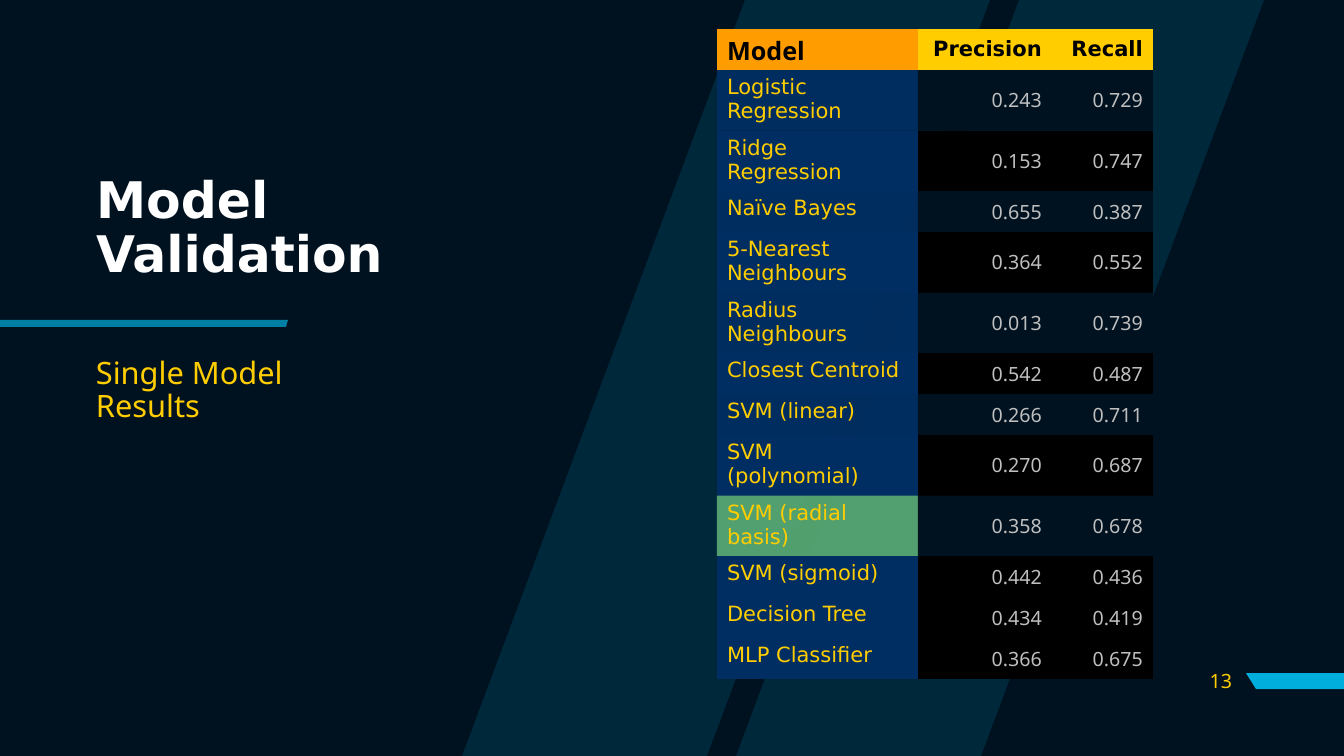
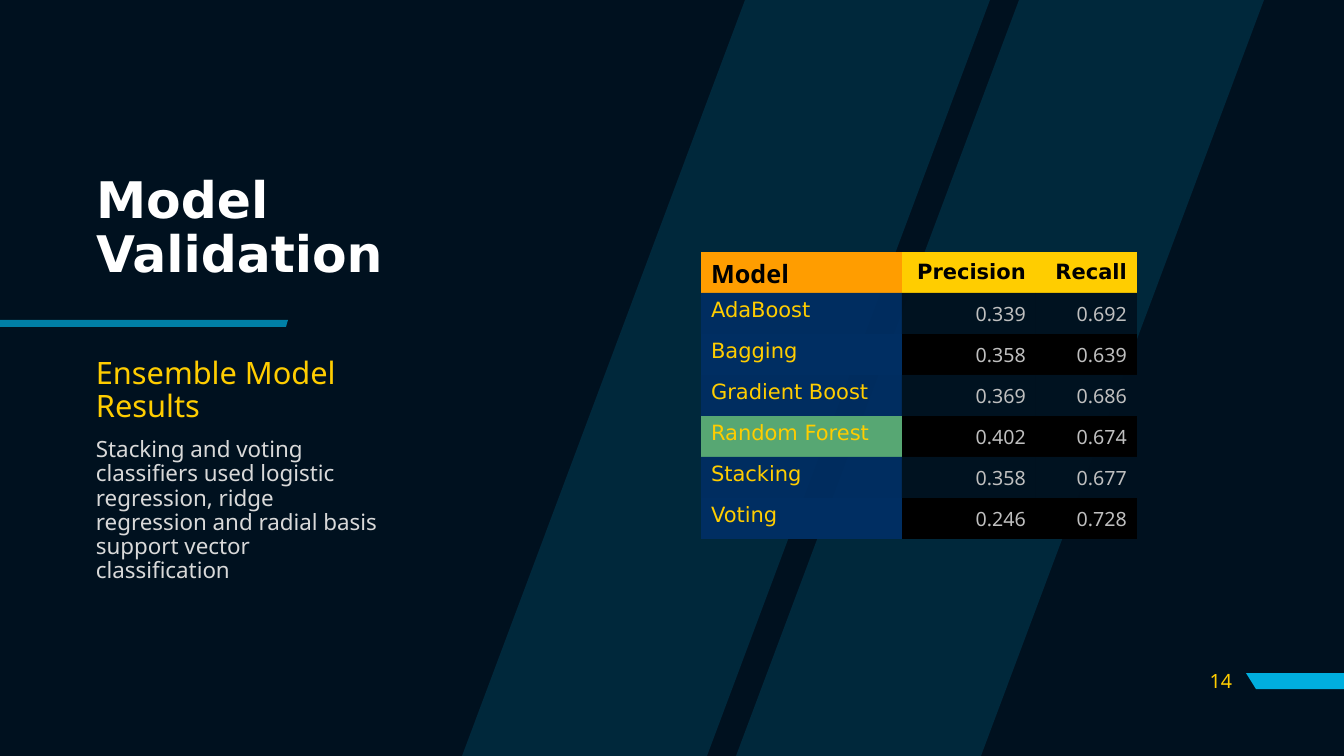
import pptx
import pptx.dml.color
import pptx.enum.text
import pptx.oxml
import pptx.oxml.ns
import pptx.util

WIDTH, HEIGHT = 1344, 756
PX = 12192000 / WIDTH
ANCHOR = pptx.enum.text.MSO_ANCHOR
ALIGN = pptx.enum.text.PP_ALIGN
NO_STYLE_NO_GRID = "{2D5ABB26-0587-4C30-8999-92F81FD0307C}"

NIGHT, NAVY, BLACK, CYAN = "00111F", "002E62", "000000", "00AEDE"
YELLOW, ORANGE, GREEN = "FFCD00", "FF9D00", "57A773"
HEADING, BODY = "DejaVu Sans", "Noto Sans"

# Text formats: font, size, bold, colour, then paragraph values
TITLE = dict(name=HEADING, size=36, bold=True, color="FFFFFF", line_spacing=0.9, alignment=ALIGN.LEFT)
SUBTITLE = dict(name=BODY, size=22, color=YELLOW, line_spacing=0.9, space_before=pptx.util.Pt(10))
NOTE = SUBTITLE | dict(size=16, color="D9D9D9")
PAGE = dict(name=BODY, size=14, color=YELLOW, alignment=ALIGN.RIGHT)
MODEL_HEAD = dict(name=BODY, size=18, bold=True, color=BLACK)
SCORE_HEAD = dict(name=HEADING, size=15, bold=True, color=BLACK, alignment=ALIGN.RIGHT)
MODEL = dict(name=HEADING, size=15, bold=False, color=YELLOW)
SCORE = dict(name=BODY, size=14, bold=False, color="BFBFBF", alignment=ALIGN.RIGHT)

COLUMNS = (201, 134, 101)
ROW_HEIGHT = 41
HEADER = ("Model", "Precision", "Recall")

# Closed outlines in px, with their opacity in percent
DECORATIONS = [
    ([[(1019, 0), (736, HEIGHT), (981, HEIGHT), (1264, 0)],
      [(462, HEIGHT), (707, HEIGHT), (990, 0), (745, 0)]], 15),
    ([[(WIDTH, 673), (WIDTH, 689), (1256, 689), (1246, 673)]], 100),
    ([[(0, 320), (0, 327), (286, 327), (288, 320)]], 70),
]

PAGES = [
    dict(
        number=13, table_at=(717, 29), best="SVM (radial basis)", unbanded=("Decision Tree",),
        text=[("Single Model Results", SUBTITLE)],
        scores=[
            ("Logistic Regression", 0.243, 0.729),
            ("Ridge Regression", 0.153, 0.747),
            ("Naïve Bayes", 0.655, 0.387),
            ("5-Nearest Neighbours", 0.364, 0.552),
            ("Radius Neighbours", 0.013, 0.739),
            ("Closest Centroid", 0.542, 0.487),
            ("SVM (linear)", 0.266, 0.711),
            ("SVM (polynomial)", 0.270, 0.687),
            ("SVM (radial basis)", 0.358, 0.678),
            ("SVM (sigmoid)", 0.442, 0.436),
            ("Decision Tree", 0.434, 0.419),
            ("MLP Classifier", 0.366, 0.675),
        ],
    ),
    dict(
        number=14, table_at=(701, 252), best="Random Forest", unbanded=(),
        text=[
            ("Ensemble Model Results", SUBTITLE),
            ("Stacking and voting classifiers used logistic regression, ridge regression "
             "and radial basis support vector classification", NOTE),
        ],
        scores=[
            ("AdaBoost", 0.339, 0.692),
            ("Bagging", 0.358, 0.639),
            ("Gradient Boost", 0.369, 0.686),
            ("Random Forest", 0.402, 0.674),
            ("Stacking", 0.358, 0.677),
            ("Voting", 0.246, 0.728),
        ],
    ),
]


def paint(fill, colour, opacity=100):
    fill.solid()
    fill.fore_color.rgb = pptx.dml.color.RGBColor.from_string(colour)
    if opacity < 100:
        for rgb in fill._xPr.iter(pptx.oxml.ns.qn("a:srgbClr")):
            alpha = pptx.oxml.parse_xml(f'<a:alpha {pptx.oxml.ns.nsdecls("a")} val="{opacity * 1000}"/>')
            rgb.append(alpha)


def write(frame, paragraphs, anchor=ANCHOR.TOP):
    """Fill a text frame with (text, format) pairs."""
    frame.word_wrap = True
    frame.vertical_anchor = anchor
    for index, (text, style) in enumerate(paragraphs):
        paragraph = frame.add_paragraph() if index else frame.paragraphs[0]
        run = paragraph.add_run()
        run.text = text
        for key, value in style.items():
            if key == "color":
                paint(run.font.fill, value)
            elif key == "size":
                run.font.size = pptx.util.Pt(value)
            else:
                setattr(run.font if key in ("name", "bold") else paragraph, key, value)


deck = pptx.Presentation()
deck.slide_width, deck.slide_height = round(WIDTH * PX), round(HEIGHT * PX)
paint(deck.slide_master.background.fill, NIGHT)
title_only = deck.slide_layouts[5]
slides = [deck.slides.add_slide(title_only) for _ in PAGES]

# Decorations are drawn on a slide, then moved to the layout that all slides share
for position, (outlines, opacity) in enumerate(DECORATIONS, start=2):
    builder = slides[0].shapes.build_freeform(*outlines[0][0], scale=PX)
    builder.add_line_segments(outlines[0][1:], close=True)
    for outline in outlines[1:]:
        builder.move_to(*outline[0])
        builder.add_line_segments(outline[1:], close=True)
    decoration = builder.convert_to_shape()
    decoration.shadow.inherit = False
    decoration.line.fill.background()
    paint(decoration.fill, CYAN, opacity)
    title_only.shapes.element.insert(position, decoration.element)

for slide, page in zip(slides, PAGES):
    title = slide.shapes.title
    title.left, title.top, title.width, title.height = (round(n * PX) for n in (86, 145, 311, 168))
    title.text_frame.auto_size = pptx.enum.text.MSO_AUTO_SIZE.NONE
    write(title.text_frame, [("Model Validation", TITLE)], ANCHOR.MIDDLE)

    summary = slide.shapes.add_textbox(*(round(n * PX) for n in (86, 353, 311, 238)))
    write(summary.text_frame, page["text"])

    x, y = page["table_at"]
    row_count = len(page["scores"]) + 1
    bounds = (x, y, sum(COLUMNS), row_count * ROW_HEIGHT)
    results = slide.shapes.add_table(row_count, len(COLUMNS), *(round(n * PX) for n in bounds))
    for style_id in results.element.iter(pptx.oxml.ns.qn("a:tableStyleId")):
        style_id.text = NO_STYLE_NO_GRID
    table = results.table
    for column, width in zip(table.columns, COLUMNS):
        column.width = round(width * PX)

    for r, record in enumerate([HEADER, *page["scores"]]):
        banded = r % 2 == 1 and record[0] not in page["unbanded"]
        for c, value in enumerate(record):
            cell = table.cell(r, c)
            if r == 0:
                text, style = value, SCORE_HEAD if c else MODEL_HEAD
                colour = YELLOW if c else ORANGE
            elif c == 0:
                text, style = value, MODEL
                colour = GREEN if value == page["best"] else NAVY
            else:
                text, style = f"{value:.3f}", SCORE
                colour = NIGHT if banded else BLACK
            paint(cell.fill, colour, 95 if banded else 100)
            write(cell.text_frame, [(text, style)])
            cell.vertical_anchor = ANCHOR.MIDDLE if c else ANCHOR.TOP

    number = slide.shapes.add_textbox(*(round(n * PX) for n in (1182, 661, 60, 40)))
    write(number.text_frame, [(str(page["number"]), PAGE)], ANCHOR.MIDDLE)

deck.save("out.pptx")
